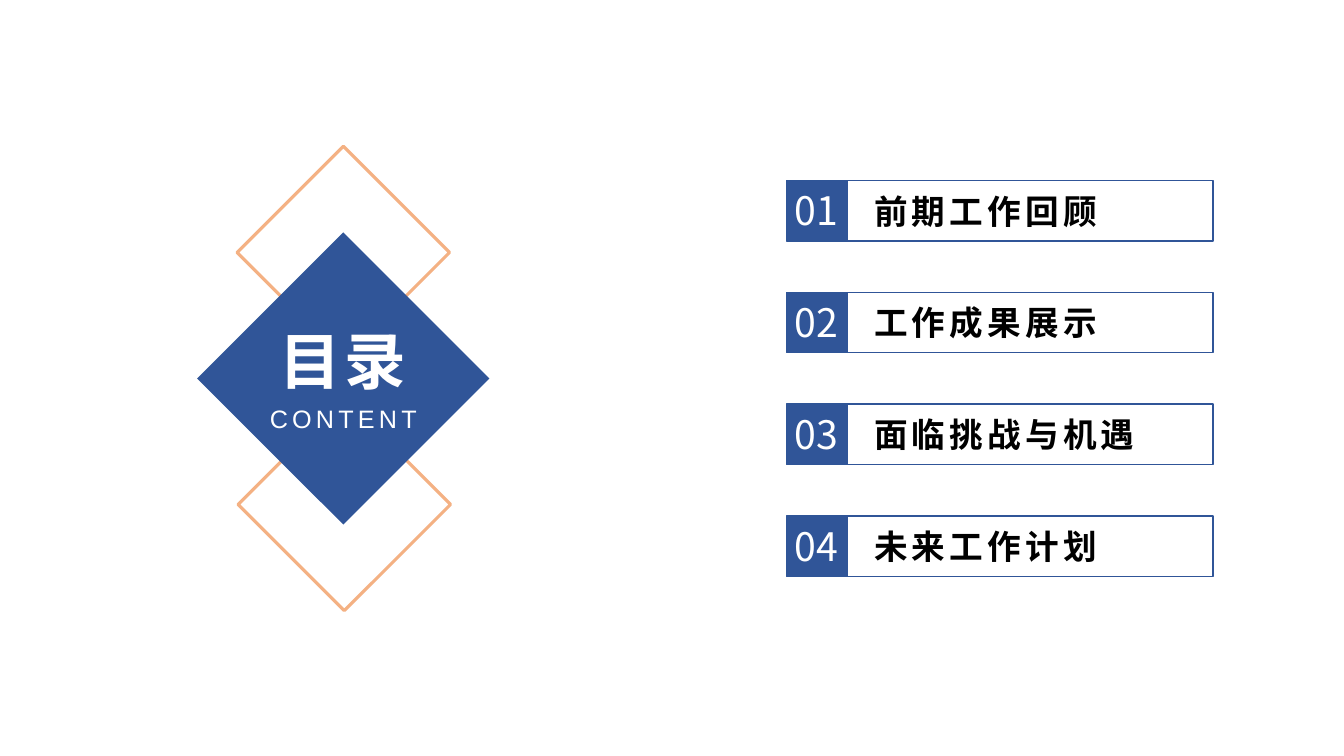
from pptx import Presentation
from pptx.dml.color import RGBColor
from pptx.enum.shapes import MSO_SHAPE
from pptx.enum.text import MSO_ANCHOR, MSO_AUTO_SIZE, PP_ALIGN
from pptx.oxml.ns import qn
from pptx.util import Inches, Pt
from lxml import etree

HEADING = "目录"
SUBHEADING = "CONTENT"
CHAPTERS = ["前期工作回顾", "工作成果展示", "面临挑战与机遇", "未来工作计划"]

BLUE = RGBColor(0x30, 0x55, 0x98)
BADGE_EDGE = RGBColor(0x2F, 0x55, 0x97)
ORANGE = RGBColor(0xF4, 0xB1, 0x83)
WHITE = RGBColor(0xFF, 0xFF, 0xFF)
BLACK = RGBColor(0, 0, 0)
CJK_FONT = "Noto Sans CJK SC"
LATIN_FONT = "Arial"

# Left, top and side of each square before it is turned
OUTLINE_SQUARES = [(2.67, 4.26, 1.49), (2.66, 1.76, 1.49)]
CENTER_SQUARE = (2.38, 2.73, 2.05)

LIST_TOP = 1.79
ROW_PITCH = 1.11
BADGE_LEFT = 7.8
BADGE_SIDE = 0.6
FRAME_WIDTH = 3.63
LABEL_LEFT = 8.67


def add_box(slide, left, top, width, height, fill=None, line=None,
            line_width=1, rotation=0):
    box = slide.shapes.add_shape(MSO_SHAPE.RECTANGLE, Inches(left), Inches(top),
                                 Inches(width), Inches(height))
    box.shadow.inherit = False
    box.rotation = rotation
    if fill is None:
        box.fill.background()
    else:
        box.fill.solid()
        box.fill.fore_color.rgb = fill
    if line is None:
        box.line.fill.background()
    else:
        box.line.color.rgb = line
        box.line.width = Pt(line_width)


def write_text(holder, text, size, color, font=CJK_FONT, bold=False,
               spacing=0, align=PP_ALIGN.CENTER, inset=None):
    frame = holder.text_frame
    frame.word_wrap = True
    frame.auto_size = MSO_AUTO_SIZE.SHAPE_TO_FIT_TEXT
    frame.vertical_anchor = MSO_ANCHOR.TOP
    if inset is not None:
        frame.margin_left = frame.margin_right = Inches(inset)
        frame.margin_top = frame.margin_bottom = Inches(inset)
    paragraph = frame.paragraphs[0]
    paragraph.alignment = align
    run = paragraph.add_run()
    run.text = text
    run.font.size = Pt(size)
    run.font.bold = bold
    run.font.color.rgb = color
    run.font.name = font
    properties = run.font._element
    properties.set("spc", str(spacing * 100))
    etree.SubElement(properties, qn("a:ea")).set("typeface", font)


def add_text(slide, left, top, width, height, text, **text_format):
    holder = slide.shapes.add_textbox(Inches(left), Inches(top),
                                      Inches(width), Inches(height))
    write_text(holder, text, **text_format)


def add_heading(slide):
    for left, top, side in OUTLINE_SQUARES:
        add_box(slide, left, top, side, side, line=ORANGE, line_width=2.25,
                rotation=45)
    left, top, side = CENTER_SQUARE
    add_box(slide, left, top, side, side, fill=BLUE, rotation=45)

    title = slide.shapes.title
    title.left, title.top = Inches(2.63), Inches(3.15)
    title.width, title.height = Inches(1.54), Inches(0.84)
    write_text(title, HEADING, size=44, color=WHITE, bold=True, spacing=3)
    # The title placeholder starts at the back; bring it in front of the square
    title.element.getparent().append(title.element)
    add_text(slide, 2.47, 3.95, 1.87, 0.4, SUBHEADING, size=18, color=WHITE,
             font=LATIN_FONT, spacing=3)


def add_chapter(slide, index, chapter):
    top = LIST_TOP + index * ROW_PITCH
    add_box(slide, BADGE_LEFT, top, BADGE_SIDE, BADGE_SIDE, fill=BLUE,
            line=BADGE_EDGE)
    add_text(slide, 7.73, top + 0.06, 0.74, 0.47, f"{index + 1:02}",
             size=28, color=WHITE, inset=0)
    add_text(slide, LABEL_LEFT, top + 0.1, 3.36, 0.4, chapter, size=24,
             color=BLACK, bold=True, spacing=3, align=PP_ALIGN.LEFT, inset=0)
    add_box(slide, BADGE_LEFT + BADGE_SIDE, top, FRAME_WIDTH, BADGE_SIDE,
            line=BLUE)


def main():
    deck = Presentation()
    deck.slide_width, deck.slide_height = Inches(13.33), Inches(7.5)
    slide = deck.slides.add_slide(deck.slide_layouts[5])
    add_heading(slide)
    for index, chapter in enumerate(CHAPTERS):
        add_chapter(slide, index, chapter)
    deck.save("out.pptx")


if __name__ == "__main__":
    main()
